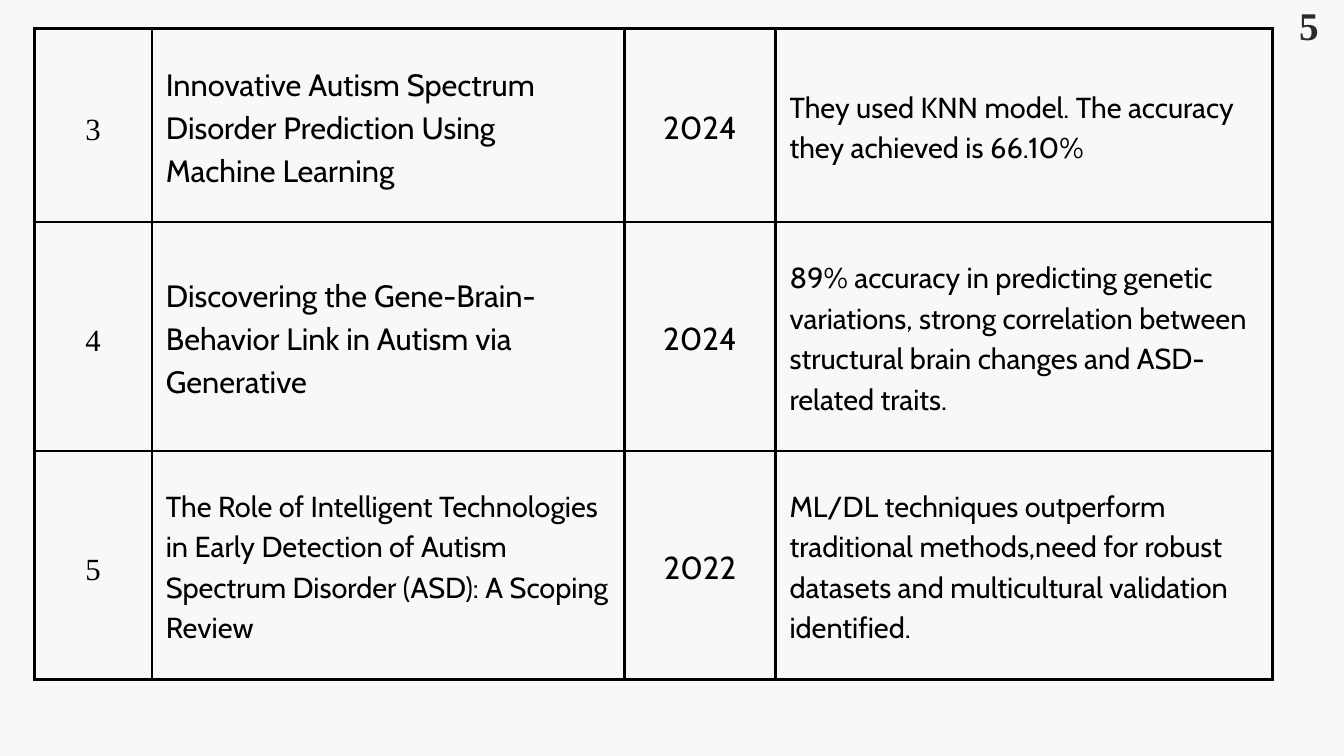
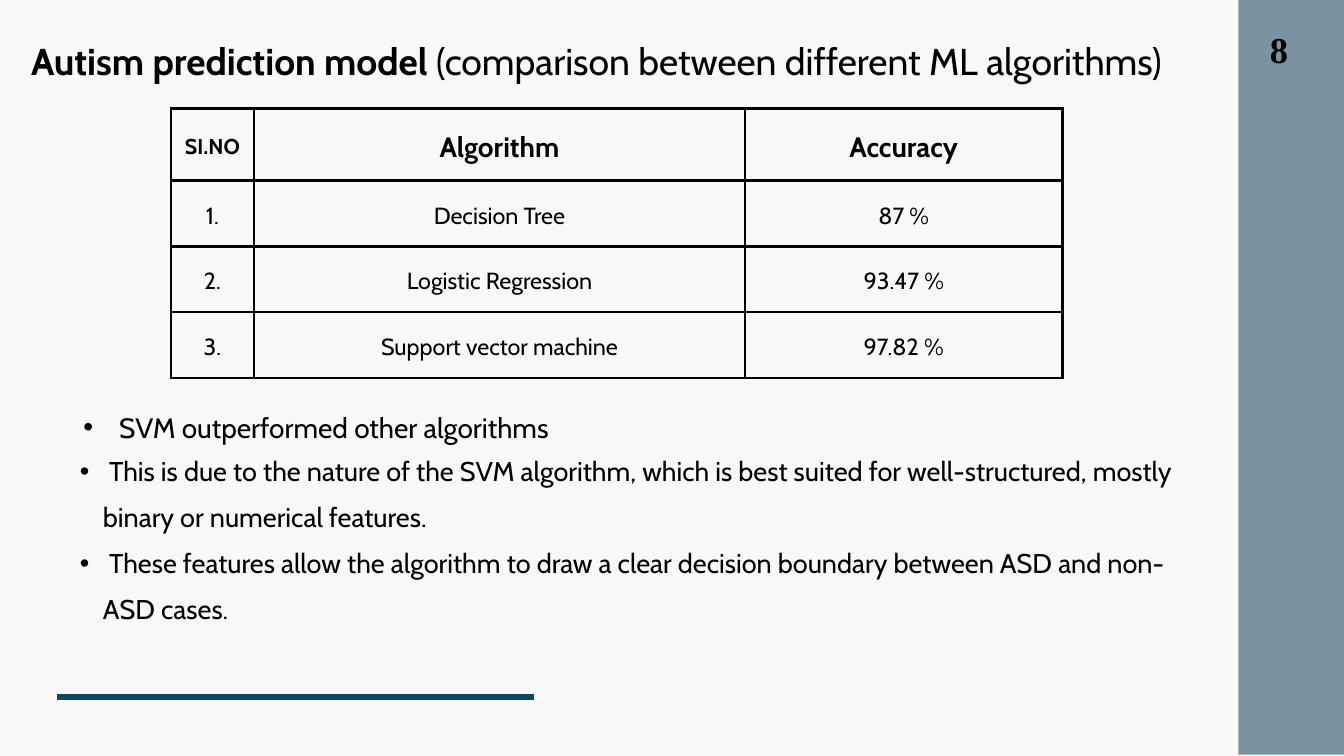
"""Build two slides on autism prediction: a literature table and an algorithm comparison."""
from dataclasses import dataclass

from lxml import etree
from pptx import Presentation
from pptx import util as u
from pptx.dml.color import RGBColor
from pptx.enum import shapes, text
from pptx.oxml.ns import qn


@dataclass(frozen=True)
class Theme:
    paper: str = "F8F8F8"
    ink: str = "000000"
    soft_ink: str = "2B2B2B"
    band: str = "7994A0"
    rule: str = "0F4662"
    sans: str = "Cabin"
    serif: str = "Times New Roman"
    title: int = 40
    lead: int = 30
    list: int = 29
    entry: int = 33
    year: int = 34
    finding: int = 31
    heading: int = 30
    small_heading: int = 23
    result: int = 25
    cell_leading: float = 1.4
    text_leading: float = 1.7
    border: int = 3
    rule_width: int = 6


theme = Theme()
PX = 9525
LEFT, CENTER = text.PP_ALIGN.LEFT, text.PP_ALIGN.CENTER


def write(para, spans, size, align=LEFT, face=theme.sans, color=theme.ink, leading=theme.cell_leading):
    """Fill a paragraph with (words, bold) spans."""
    layout = {"alignment": align, "line_spacing": u.Pt(size * leading),
              "space_before": u.Pt(0), "space_after": u.Pt(0)}
    for name, value in layout.items():
        setattr(para, name, value)
    for words, bold in spans:
        span = para.add_run()
        span.text = words
        for name, value in {"name": face, "size": u.Pt(size), "bold": bold}.items():
            setattr(span.font, name, value)
        span.font.color.rgb = RGBColor.from_string(color)


def draw_table(page, left, top, widths, heights, columns, rows):
    """Draw a bordered table; columns hold (face, align), rows hold (words, size, bold)."""
    grid = page.shapes.add_table(len(rows), len(widths), left * PX, top * PX,
                                 sum(widths) * PX, sum(heights) * PX).table
    grid.first_row = grid.horz_banding = False
    for column, width in zip(grid.columns, widths):
        column.width = width * PX
    for line, height, row in zip(grid.rows, heights, rows):
        line.height = height * PX
        for cell, (face, align), (words, size, bold) in zip(line.cells, columns, row):
            for side in ("left", "right", "top", "bottom"):
                setattr(cell, f"margin_{side}", 20 * PX)
            cell.vertical_anchor = text.MSO_ANCHOR.MIDDLE
            write(cell.text_frame.paragraphs[0], [(words, bold)], size, align, face)
            for edge in ("a:lnL", "a:lnR", "a:lnT", "a:lnB"):
                border = etree.SubElement(cell._tc.get_or_add_tcPr(), qn(edge), w=str(u.Pt(theme.border)))
                fill = etree.SubElement(border, qn("a:solidFill"))
                etree.SubElement(fill, qn("a:srgbClr"), val=theme.ink)
            cell.fill.background()


deck = Presentation()
deck.slide_width, deck.slide_height = 1920 * PX, 1080 * PX
backdrop = deck.slide_master.background.fill
backdrop.solid()
backdrop.fore_color.rgb = RGBColor.from_string(theme.paper)
survey = deck.slides.add_slide(deck.slide_layouts[6])
comparison = deck.slides.add_slide(deck.slide_layouts[3])

papers = [
    ("3", "Innovative Autism Spectrum Disorder Prediction Using Machine Learning", theme.entry, "2024",
     "They used KNN model. The accuracy they achieved is 66.10%"),
    ("4", "Discovering the Gene-Brain-Behavior Link in Autism via Generative", theme.entry, "2024",
     "89% accuracy in predicting genetic variations, strong correlation between structural brain "
     "changes and ASD-related traits."),
    ("5", "The Role of Intelligent Technologies in Early Detection of Autism Spectrum Disorder (ASD): "
     "A Scoping Review", theme.finding, "2022",
     "ML/DL techniques outperform traditional methods,need for robust datasets and multicultural "
     "validation identified."),
]
draw_table(survey, 49, 41, [168, 675, 216, 710], [276, 327, 327],
           [(theme.serif, CENTER), (theme.sans, LEFT), (theme.sans, CENTER), (theme.sans, LEFT)],
           [[(number, theme.entry, False), (paper, size, False), (year, theme.year, False),
             (finding, theme.finding, False)] for number, paper, size, year, finding in papers])

rule = comparison.shapes.add_connector(shapes.MSO_CONNECTOR.STRAIGHT, 82 * PX, 996 * PX, 763 * PX, 996 * PX)
rule.line.color.rgb = RGBColor.from_string(theme.rule)
rule.line.width = u.Pt(theme.rule_width)
etree.SubElement(rule._element.spPr, qn("a:effectLst"))

band = comparison.shapes.add_shape(shapes.MSO_SHAPE.RECTANGLE, 1769 * PX, 0, 151 * PX, 1078 * PX)
band.shadow.inherit = False
band.fill.solid()
band.fill.fore_color.rgb = RGBColor.from_string(theme.band)
band.line.fill.background()

headings = [("SI.NO", theme.small_heading, True), ("Algorithm", theme.heading, True),
            ("Accuracy", theme.heading, True)]
results = [("1.", "Decision Tree", "87 %"), ("2.", "Logistic Regression", "93.47 %"),
           ("3.", "Support vector machine", "97.82 %")]
draw_table(comparison, 244, 155, [119, 701, 454], [103] + [94] * 3, [(theme.sans, CENTER)] * 3,
           [headings] + [[(words, theme.result, False) for words in result] for result in results])

title, lead, reasons = comparison.placeholders
survey_number = survey.shapes.add_textbox(0, 0, 0, 0)
comparison_number = comparison.shapes.add_textbox(0, 0, 0, 0)
boxes = [(title, 0, 28, 1692, 84, True), (lead, 82, 566, 706, 63, True), (reasons, 82, 630, 1612, 256, True),
         (survey_number, 1856, -9, 16, 33, False), (comparison_number, 1800, 28, 54, 78, True)]
for box, left, top, width, height, wrap in boxes:
    for name, value in {"left": left, "top": top, "width": width, "height": height}.items():
        setattr(box, name, value * PX)
    frame_format = {"margin_left": 0, "margin_right": 0, "margin_top": 0, "margin_bottom": 0,
                    "word_wrap": wrap, "vertical_anchor": text.MSO_ANCHOR.TOP,
                    "auto_size": text.MSO_AUTO_SIZE.SHAPE_TO_FIT_TEXT}
    for name, value in frame_format.items():
        setattr(box.text_frame, name, value)

heading = title.text_frame.paragraphs[0]
write(heading, [("Autism prediction model", True), (" (comparison between different ML algorithms)", False)],
      theme.title, CENTER, leading=theme.text_leading)
heading._p.get_or_add_pPr().set("marL", str(12 * PX))

write(survey_number.text_frame.paragraphs[0], [("5", True)], 42, CENTER, theme.serif, theme.soft_ink)
write(comparison_number.text_frame.paragraphs[0], [("8", True)], 39, CENTER, theme.serif)

points = [
    (lead.text_frame.paragraphs[0], "SVM outperformed other algorithms", theme.lead, 88, -51),
    (reasons.text_frame.paragraphs[0], " This is due to the nature of the SVM algorithm, which is best "
     "suited for well-structured, mostly binary or numerical features.", theme.list, 65, -33),
    (reasons.text_frame.add_paragraph(), " These features allow the algorithm to draw a clear decision "
     "boundary between ASD and non-ASD cases.", theme.list, 65, -33),
]
for para, words, size, margin, indent in points:
    write(para, [(words, False)], size, leading=theme.text_leading)
    settings = para._p.get_or_add_pPr()
    settings.set("marL", str(margin * PX))
    settings.set("indent", str(indent * PX))
    etree.SubElement(settings, qn("a:buChar"), char="•")

deck.save("out.pptx")
